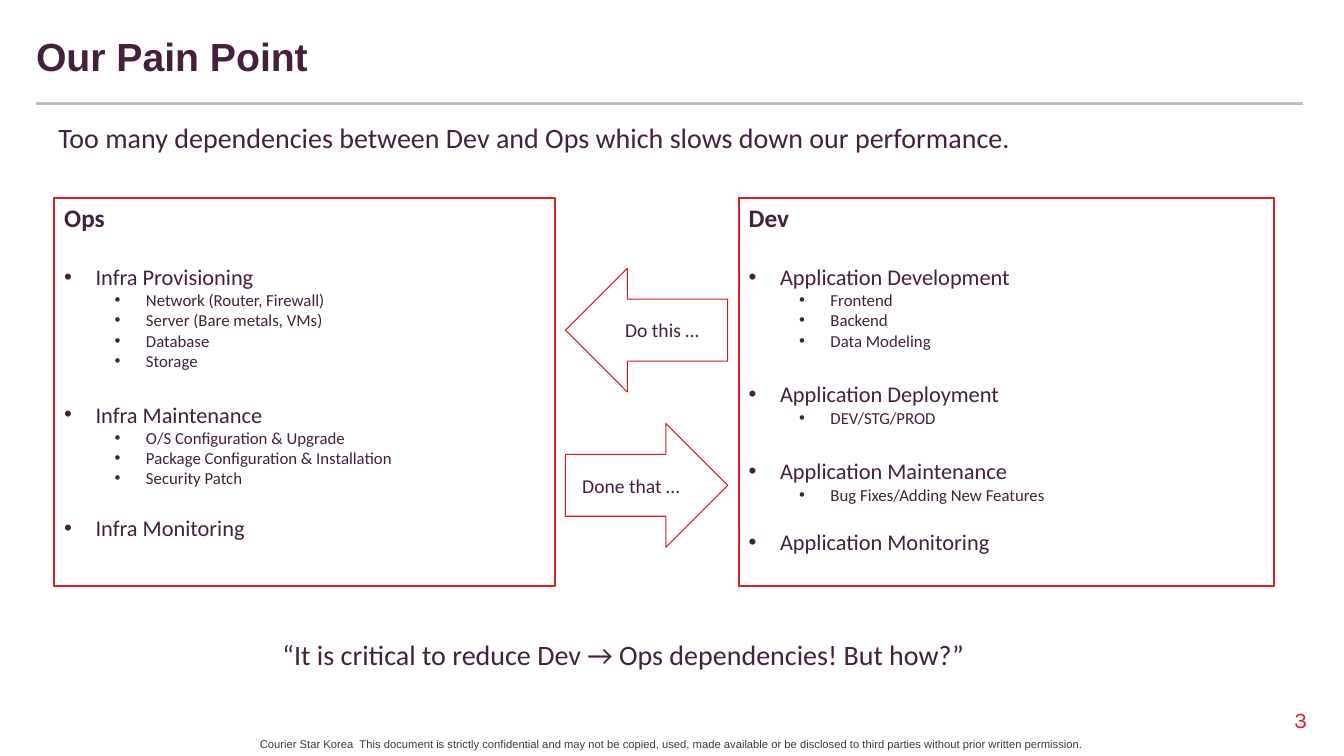
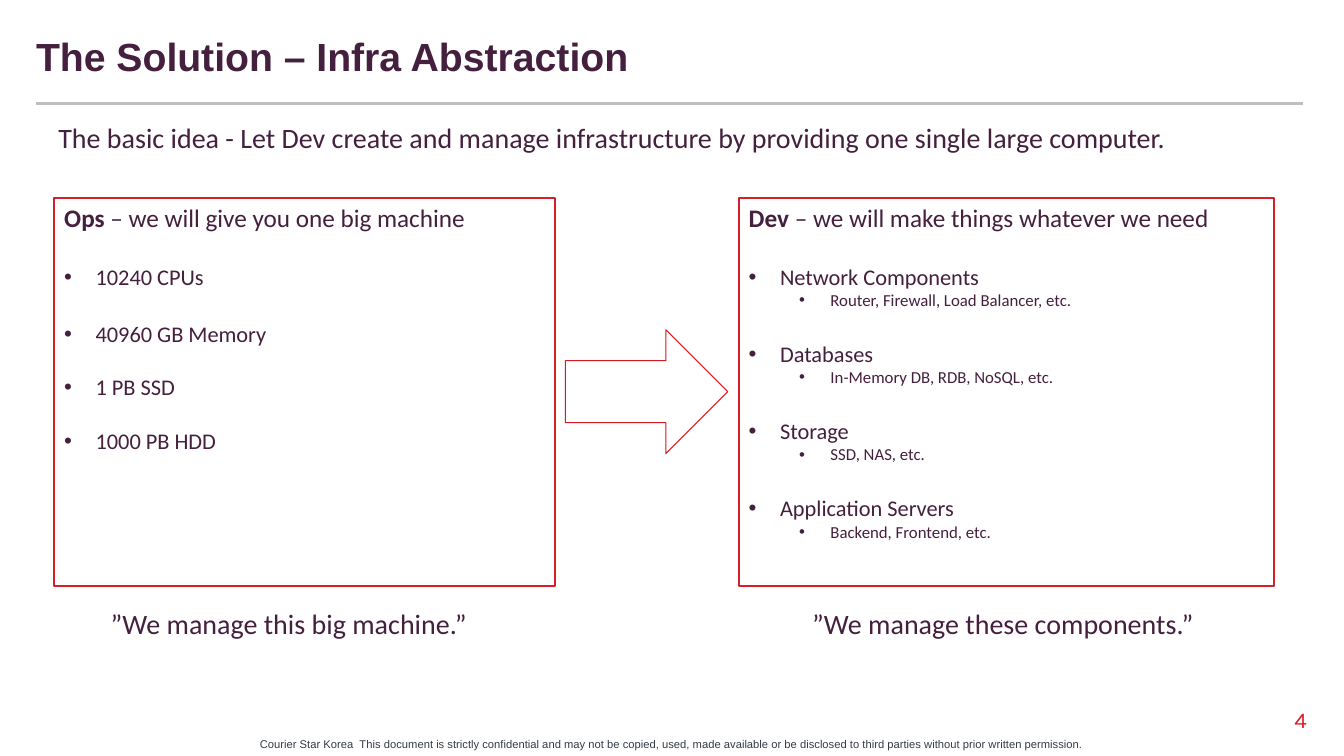
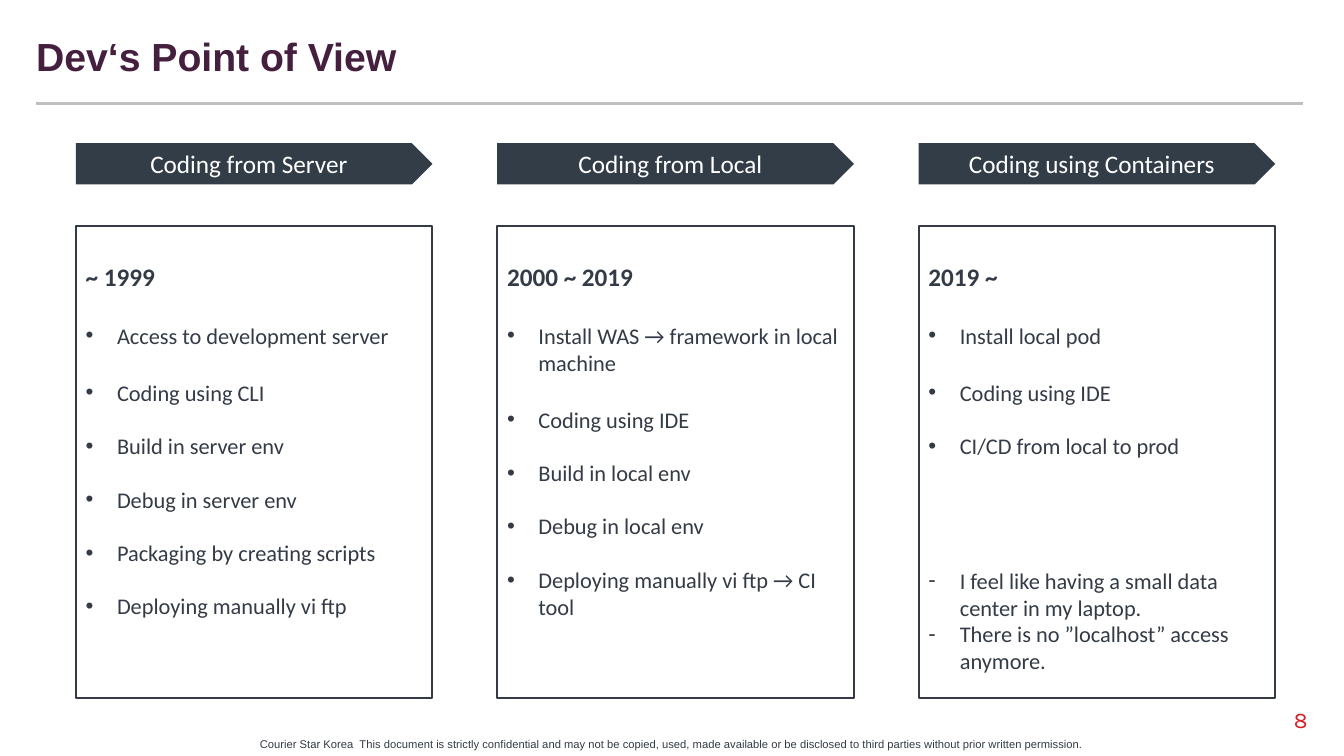
from dataclasses import dataclass
from typing import Optional

from lxml import etree
from pptx import Presentation
from pptx.dml.color import RGBColor
from pptx.enum import shapes, text
from pptx.oxml import ns
from pptx.util import Cm, Pt

# Colours
PLUM = RGBColor(0x45, 0x20, 0x3E)
SLATE = RGBColor(0x34, 0x3B, 0x46)
BANNER = RGBColor(0x33, 0x3D, 0x47)
PANEL_RED = RGBColor(0xD6, 0x1F, 0x26)
ARROW_RED = RGBColor(0xD6, 0x1A, 0x21)
NUMBER_RED = RGBColor(0xD7, 0x1D, 0x24)
RULE_GREY = RGBColor(0xBF, 0xBF, 0xBF)
WHITE = RGBColor(0xFF, 0xFF, 0xFF)

# Text formats
HEADING = {"name": "Calibri", "size": Pt(18), "bold": True}
REMARK = {"name": "Calibri", "size": Pt(18), "bold": False}
LEVELS = ({"name": "Calibri", "size": Pt(16)}, {"name": "Calibri", "size": Pt(12)})
STATEMENT = {"name": "Calibri", "size": Pt(20)}
ARROW_LABEL = {"name": "Calibri", "size": Pt(14)}
TITLE = {"name": "Arial", "size": Pt(28), "bold": True}
FOOTER = {"name": "Arial", "size": Pt(8)}
NUMBER = {"name": "Karla", "size": Pt(16)}

LEFT, CENTER = text.PP_ALIGN.LEFT, text.PP_ALIGN.CENTER
TOP, MIDDLE, BOTTOM = (text.MSO_ANCHOR.TOP, text.MSO_ANCHOR.MIDDLE,
                       text.MSO_ANCHOR.BOTTOM)
SHAPE = shapes.MSO_SHAPE

# Space before an item, in points
SMALL, NORMAL, WIDE, BLOCK = 17, 19, 21.5, 77

FOOTER_TEXT = ("Courier Star Korea  This document is strictly confidential and may not "
               "be copied, used, made available or be disclosed to third parties "
               "without prior written permission.")


@dataclass(frozen=True)
class Area:
    left: float
    top: float
    width: float
    height: float

    def lengths(self) -> tuple:
        return Cm(self.left), Cm(self.top), Cm(self.width), Cm(self.height)


@dataclass(frozen=True)
class Item:
    label: str
    gap: float = 0
    level: int = 0
    bullet: str = "•"


@dataclass(frozen=True)
class Panel:
    heading: str
    items: list
    remark: str = ""


@dataclass(frozen=True)
class Arrow:
    kind: shapes.MSO_SHAPE
    top: float
    label: str = ""


@dataclass(frozen=True)
class Statement:
    label: str
    area: Area
    align: text.PP_ALIGN = LEFT


OPS_AREA = Area(1.37, 4.98, 12.62, 9.78)
DEV_AREA = Area(18.62, 4.98, 13.49, 9.78)


# Drawing helpers
def add_span(para, label: str, style: dict, color: RGBColor) -> None:
    span = para.add_run()
    span.text = label
    for key, value in style.items():
        setattr(span.font, key, value)
    span.font.color.rgb = color


def set_frame(box, anchor=TOP, **margins):
    frame = box.text_frame
    for key, value in {"word_wrap": True, "vertical_anchor": anchor, **margins}.items():
        setattr(frame, key, value)
    return frame


def no_margins() -> dict:
    return {f"margin_{side}": 0 for side in ("left", "top", "right", "bottom")}


def add_text(page, area: Area, label: str, style: dict, color: RGBColor,
             align=LEFT, anchor=TOP, **margins):
    box = page.shapes.add_textbox(*area.lengths())
    para = set_frame(box, anchor, **margins).paragraphs[0]
    para.alignment = align
    add_span(para, label, style, color)
    return para


def add_figure(page, kind, area: Area, fill: Optional[RGBColor] = None,
               line: Optional[RGBColor] = None, weight: float = 0):
    figure = page.shapes.add_shape(kind, *area.lengths())
    figure.shadow.inherit = False
    if fill is None:
        figure.fill.background()
    else:
        figure.fill.solid()
        figure.fill.fore_color.rgb = fill
    if line is None:
        figure.line.fill.background()
    else:
        figure.line.color.rgb = line
        figure.line.width = Pt(weight)
    return figure


def add_label(figure, label: str, style: dict, color: RGBColor, **margins) -> None:
    para = set_frame(figure, MIDDLE, **margins).paragraphs[0]
    para.alignment = CENTER
    add_span(para, label, style, color)


def add_item(frame, item: Item, color: RGBColor) -> None:
    para = frame.add_paragraph()
    for key, value in {"alignment": LEFT, "level": item.level,
                       "space_before": Pt(item.gap)}.items():
        setattr(para, key, value)
    add_span(para, item.label, LEVELS[item.level], color)
    props = para._p.get_or_add_pPr()
    props.set("marL", str(Cm(0.79 + 1.27 * item.level)))
    props.set("indent", str(-Cm(0.79)))
    etree.SubElement(props, ns.qn("a:buFont")).set("typeface", "Arial")
    etree.SubElement(props, ns.qn("a:buChar")).set("char", item.bullet)


def add_panel(page, area: Area, panel: Panel, line: RGBColor, color: RGBColor,
              margin_top=Cm(0.13)) -> None:
    figure = add_figure(page, SHAPE.RECTANGLE, area, line=line, weight=1.5)
    frame = set_frame(figure, margin_top=margin_top)
    para = frame.paragraphs[0]
    para.alignment = LEFT
    add_span(para, panel.heading, HEADING, color)
    if panel.remark:
        add_span(para, panel.remark, REMARK, color)
    for item in panel.items:
        add_item(frame, item, color)


def add_page(deck, title: str, number: int):
    """Page with the title, rule, number and footer that all slides share."""
    page = deck.slides.add_slide(deck.slide_layouts[6])
    disc = add_figure(page, SHAPE.OVAL, Area(31.98, 17.55, 1.6, 1.19), fill=WHITE)
    add_label(disc, str(number), NUMBER, NUMBER_RED, **no_margins())
    rule = page.shapes.add_connector(shapes.MSO_CONNECTOR.STRAIGHT,
                                     Cm(0.91), Cm(2.61), Cm(32.84), Cm(2.61))
    rule.line.color.rgb = RULE_GREY
    rule.line.width = Pt(2)
    etree.SubElement(rule._element.spPr, ns.qn("a:effectLst"))
    add_text(page, Area(0, 18.45, 33.87, 0.46), FOOTER_TEXT, FOOTER, SLATE, CENTER)
    heading = add_text(page, Area(0.91, 1.07, 24.43, 0.91), title, TITLE, PLUM,
                       anchor=BOTTOM, **no_margins())
    heading.line_spacing = 0.7
    return page


def add_exchange(deck, title: str, number: int, ops: Panel, dev: Panel,
                 arrows: list, statements: list) -> None:
    """Ops and Dev panels with arrows between them."""
    page = add_page(deck, title, number)
    for area, panel in ((OPS_AREA, ops), (DEV_AREA, dev)):
        add_panel(page, area, panel, PANEL_RED, PLUM)
    for arrow in arrows:
        figure = add_figure(page, arrow.kind, Area(14.25, arrow.top, 4.09, 3.12),
                            line=ARROW_RED, weight=0.75)
        if arrow.label:
            add_label(figure, arrow.label, ARROW_LABEL, PLUM)
    for statement in statements:
        add_text(page, statement.area, statement.label, STATEMENT, PLUM,
                 statement.align)


def add_eras(deck, title: str, number: int, eras: list) -> None:
    """Equal columns, each a banner above a panel."""
    page = add_page(deck, title, number)
    for index, (banner, panel) in enumerate(eras):
        left = 1.91 + 10.62 * index
        plate = add_figure(page, SHAPE.PENTAGON, Area(left, 3.61, 8.99, 1.04),
                           fill=BANNER)
        add_label(plate, banner, REMARK, WHITE)
        add_panel(page, Area(left, 5.69, 8.99, 11.91), panel, SLATE, SLATE,
                  margin_top=Cm(0.9))


# Content helpers
def group(label: str, *details: str, gap: float = WIDE) -> list:
    return [Item(label, gap), *(Item(detail, level=1) for detail in details)]


def steps(*labels: str) -> list:
    return [Item(label, WIDE if index < 2 else NORMAL)
            for index, label in enumerate(labels)]


def main() -> None:
    deck = Presentation()
    deck.slide_width, deck.slide_height = Cm(33.87), Cm(19.05)

    # Pain point
    add_exchange(
        deck, "Our Pain Point", 3,
        Panel("Ops", [
            *group("Infra Provisioning", "Network (Router, Firewall)",
                   "Server (Bare metals, VMs)", "Database", "Storage"),
            *group("Infra Maintenance", "O/S Configuration & Upgrade",
                   "Package Configuration & Installation", "Security Patch"),
            *group("Infra Monitoring", gap=NORMAL)]),
        Panel("Dev", [
            *group("Application Development", "Frontend", "Backend", "Data Modeling"),
            *group("Application Deployment", "DEV/STG/PROD"),
            *group("Application Maintenance", "Bug Fixes/Adding New Features"),
            *group("Application Monitoring", gap=SMALL)]),
        [Arrow(SHAPE.LEFT_ARROW, 6.76, "Do this …"),
         Arrow(SHAPE.RIGHT_ARROW, 10.67, "Done that …")],
        [Statement("Too many dependencies between Dev and Ops which slows down "
                   "our performance.", Area(1.22, 2.9, 25.53, 1.12)),
         Statement("“It is critical to reduce Dev → Ops dependencies! But how?”",
                   Area(2.95, 15.95, 25.53, 1.12), CENTER)])

    # Solution
    add_exchange(
        deck, "The Solution – Infra Abstraction", 4,
        Panel("Ops", steps("10240 CPUs", "40960 GB Memory", "1 PB SSD", "1000 PB HDD"),
              " – we will give you one big machine"),
        Panel("Dev", [
            *group("Network Components", "Router, Firewall, Load Balancer, etc."),
            *group("Databases", "In-Memory DB, RDB, NoSQL, etc."),
            *group("Storage", "SSD, NAS, etc."),
            *group("Application Servers", "Backend, Frontend, etc.")],
            " – we will make things whatever we need"),
        [Arrow(SHAPE.RIGHT_ARROW, 8.31)],
        [Statement("The basic idea - Let Dev create and manage infrastructure by "
                   "providing one single large computer.", Area(1.22, 2.9, 31.47, 1.12)),
         Statement("”We manage this big machine.”", Area(2.54, 15.16, 10.26, 1.12)),
         Statement("”We manage these components.”", Area(20.22, 15.16, 10.26, 1.12))])

    # Developer view
    add_eras(deck, "Dev‘s Point of View", 8, [
        ("Coding from Server", Panel("~ 1999", steps(
            "Access to development server", "Coding using CLI", "Build in server env",
            "Debug in server env", "Packaging by creating scripts",
            "Deploying manually vi ftp"))),
        ("Coding from Local", Panel("2000 ~ 2019", steps(
            "Install WAS → framework in local machine", "Coding using IDE",
            "Build in local env", "Debug in local env",
            "Deploying manually vi ftp → CI tool"))),
        ("Coding using Containers", Panel("2019 ~", [
            *steps("Install local pod", "Coding using IDE", "CI/CD from local to prod"),
            Item("I feel like having a small data center in my laptop.", BLOCK,
                 bullet="-"),
            Item("There is no ”localhost” access anymore.", bullet="-")])),
    ])

    deck.save("out.pptx")


if __name__ == "__main__":
    main()
